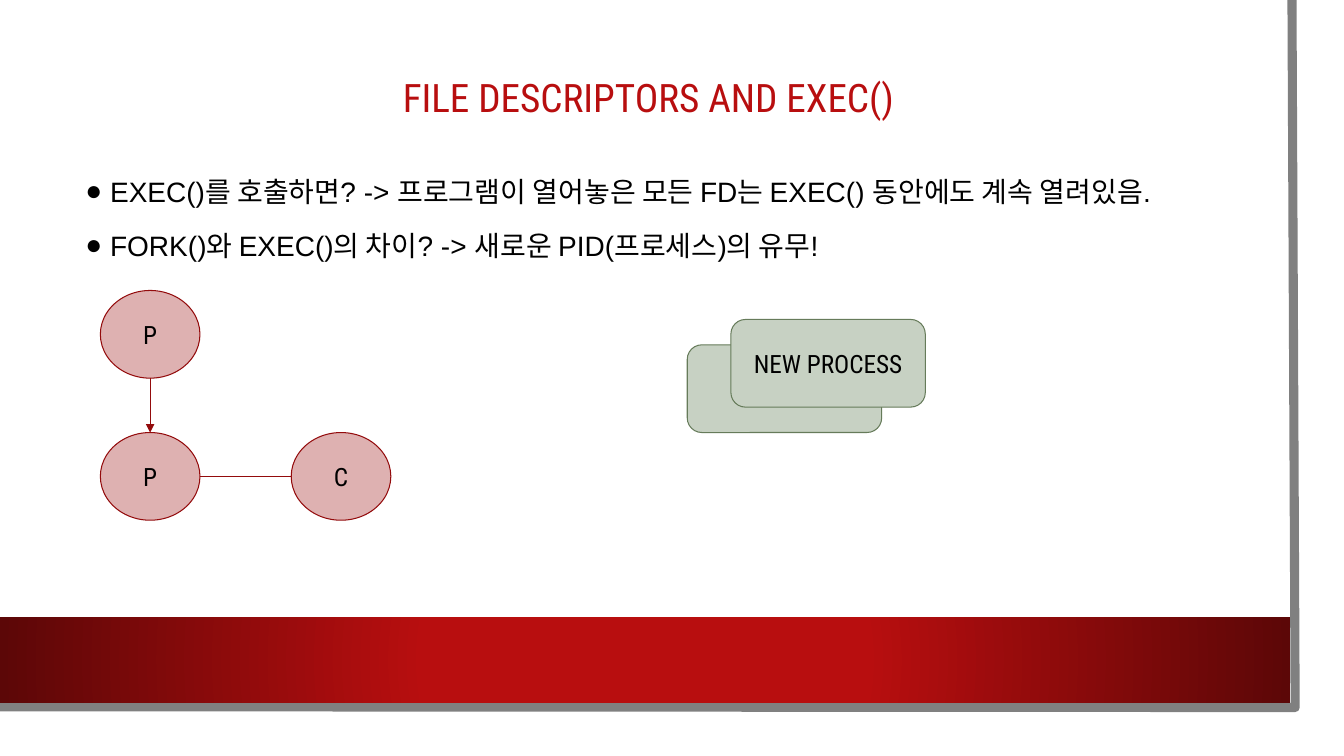
from dataclasses import dataclass

from lxml import etree
from pptx import Presentation
from pptx.dml.color import RGBColor
from pptx.enum.shapes import MSO_CONNECTOR, MSO_SHAPE
from pptx.enum.text import MSO_ANCHOR, MSO_AUTO_SIZE, PP_ALIGN
from pptx.oxml.ns import qn
from pptx.util import Cm, Pt

ELLIPSE, ROUNDED, RECT = MSO_SHAPE.OVAL, MSO_SHAPE.ROUNDED_RECTANGLE, MSO_SHAPE.RECTANGLE
STRAIGHT = MSO_CONNECTOR.STRAIGHT
CENTER, LEFT = PP_ALIGN.CENTER, PP_ALIGN.LEFT
MIDDLE, TOP = MSO_ANCHOR.MIDDLE, MSO_ANCHOR.TOP
NO_AUTOFIT = MSO_AUTO_SIZE.NONE


@dataclass(frozen=True)
class Theme:
    red: str = "B80E0F"
    dark_red: str = "5C0707"
    outline_red: str = "930B0C"
    pink: str = "DEB1B1"
    sage: str = "C7D1C3"
    outline_green: str = "667B5A"
    edge_gray: str = "808080"
    black: str = "000000"
    heading_font: str = "Roboto Condensed"
    body_font: str = "Arial"
    title_size: int = 28
    body_size: int = 20
    label_size: int = 18
    line_width: float = 0.75
    edge_width: float = 6.5


THEME = Theme()
NODE_W, NODE_H = 2.51, 2.21
BOX_W, BOX_H = 4.9, 2.21
BULLET_INDENT = Cm(0.62)
BULLETS = [
    "EXEC()를 호출하면? -> 프로그램이 열어놓은 모든 FD는 EXEC() 동안에도 계속 열려있음.",
    "FORK()와 EXEC()의 차이? -> 새로운 PID(프로세스)의 유무!",
]


def color(code):
    return RGBColor.from_string(code)


def write_text(paragraph, text, *, font=THEME.heading_font, size=THEME.label_size,
               ink=THEME.black, align=CENTER, spacing=None, before=None):
    paragraph.alignment = align
    if spacing is not None:
        paragraph.line_spacing = spacing
    if before is not None:
        paragraph.space_before = Pt(before)
    run = paragraph.add_run()
    run.text = text
    run.font.name = font
    run.font.size = Pt(size)
    run.font.color.rgb = color(ink)


def place(shape, left, top, width, height, anchor):
    shape.left, shape.top = Cm(left), Cm(top)
    shape.width, shape.height = Cm(width), Cm(height)
    shape.text_frame.auto_size = NO_AUTOFIT
    shape.text_frame.vertical_anchor = anchor


def add_bullet(paragraph):
    properties = paragraph._p.get_or_add_pPr()
    properties.set("marL", str(BULLET_INDENT))
    properties.set("indent", str(-BULLET_INDENT))
    etree.SubElement(properties, qn("a:buFont")).set("typeface", THEME.body_font)
    etree.SubElement(properties, qn("a:buChar")).set("char", "●")


def add_panel(slide, kind, left, top, width, height, fill, outline, label=None):
    shape = slide.shapes.add_shape(kind, Cm(left), Cm(top), Cm(width), Cm(height))
    shape.shadow.inherit = False
    shape.fill.solid()
    shape.fill.fore_color.rgb = color(fill)
    shape.line.color.rgb = color(outline)
    shape.line.width = Pt(THEME.line_width)
    if label:
        shape.text_frame.vertical_anchor = MIDDLE
        write_text(shape.text_frame.paragraphs[0], label)
    return shape


def add_node(slide, label, left, top):
    return add_panel(slide, ELLIPSE, left, top, NODE_W, NODE_H,
                     THEME.pink, THEME.outline_red, label)


def add_process(slide, left, top, label=None):
    return add_panel(slide, ROUNDED, left, top, BOX_W, BOX_H,
                     THEME.sage, THEME.outline_green, label)


def add_link(slide, start, end, arrow=False):
    link = slide.shapes.add_connector(STRAIGHT, *start, *end)
    link.line.color.rgb = color(THEME.outline_red)
    link.line.width = Pt(THEME.line_width)
    if arrow:
        etree.SubElement(link.line._get_or_add_ln(), qn("a:tailEnd")).set("type", "triangle")
    etree.SubElement(link._element.spPr, qn("a:effectLst"))


def add_page_edge(slide):
    builder = slide.shapes.build_freeform(Cm(32.56), 0)
    builder.add_line_segments([(Cm(32.64), Cm(17.83)), (Cm(-0.08), Cm(17.81))], close=False)
    edge = builder.convert_to_shape()
    edge.shadow.inherit = False
    edge.fill.background()
    edge.line.color.rgb = color(THEME.edge_gray)
    edge.line.width = Pt(THEME.edge_width)


def add_footer_band(slide):
    band = slide.shapes.add_shape(RECT, 0, Cm(15.55), Cm(32.51), Cm(2.16))
    band.shadow.inherit = False
    band.line.fill.background()
    band.fill.gradient()
    for stop, position, code in zip(band.fill.gradient_stops, (0.34, 1),
                                    (THEME.red, THEME.dark_red)):
        stop.position = position
        stop.color.rgb = color(code)
    # Turn the linear gradient into one that spreads from the centre
    gradient = band._element.spPr.find(qn("a:gradFill"))
    gradient.remove(gradient.find(qn("a:lin")))
    spread = etree.SubElement(gradient, qn("a:path"))
    spread.set("path", "circle")
    center = etree.SubElement(spread, qn("a:fillToRect"))
    for side in "ltrb":
        center.set(side, "50000")


def add_heading_and_bullets(slide):
    title, body = slide.placeholders
    place(title, 1.9, 0.91, 28.88, 3.2, MIDDLE)
    write_text(title.text_frame.paragraphs[0], "FILE DESCRIPTORS AND EXEC()",
               size=THEME.title_size, ink=THEME.red, spacing=0.9)

    place(body, 1.9, 2.72, 28.88, 7.82, TOP)
    frame = body.text_frame
    frame.margin_top = Cm(1.5)
    for index, text in enumerate(BULLETS):
        paragraph = frame.add_paragraph() if index else frame.paragraphs[0]
        write_text(paragraph, text, font=THEME.body_font, size=THEME.body_size,
                   align=LEFT, spacing=1.2, before=10)
        add_bullet(paragraph)


def add_fork_diagram(slide):
    caller = add_node(slide, "P", 2.53, 7.32)
    parent = add_node(slide, "P", 2.53, 10.9)
    child = add_node(slide, "C", 7.34, 10.9)
    axis_x = caller.left + caller.width // 2
    axis_y = parent.top + parent.height // 2
    add_link(slide, (axis_x, caller.top + caller.height), (axis_x, parent.top), arrow=True)
    add_link(slide, (parent.left + parent.width, axis_y), (child.left, axis_y))


def add_exec_diagram(slide):
    add_process(slide, 17.32, 8.69)
    add_process(slide, 18.42, 8.05, "NEW PROCESS")


def main():
    deck = Presentation()
    deck.slide_width, deck.slide_height = Cm(33.87), Cm(19.05)
    slide = deck.slides.add_slide(deck.slide_layouts[1])

    # Page frame
    add_page_edge(slide)
    add_footer_band(slide)
    # Content
    add_heading_and_bullets(slide)
    add_fork_diagram(slide)
    add_exec_diagram(slide)
    deck.save("out.pptx")


if __name__ == "__main__":
    main()
